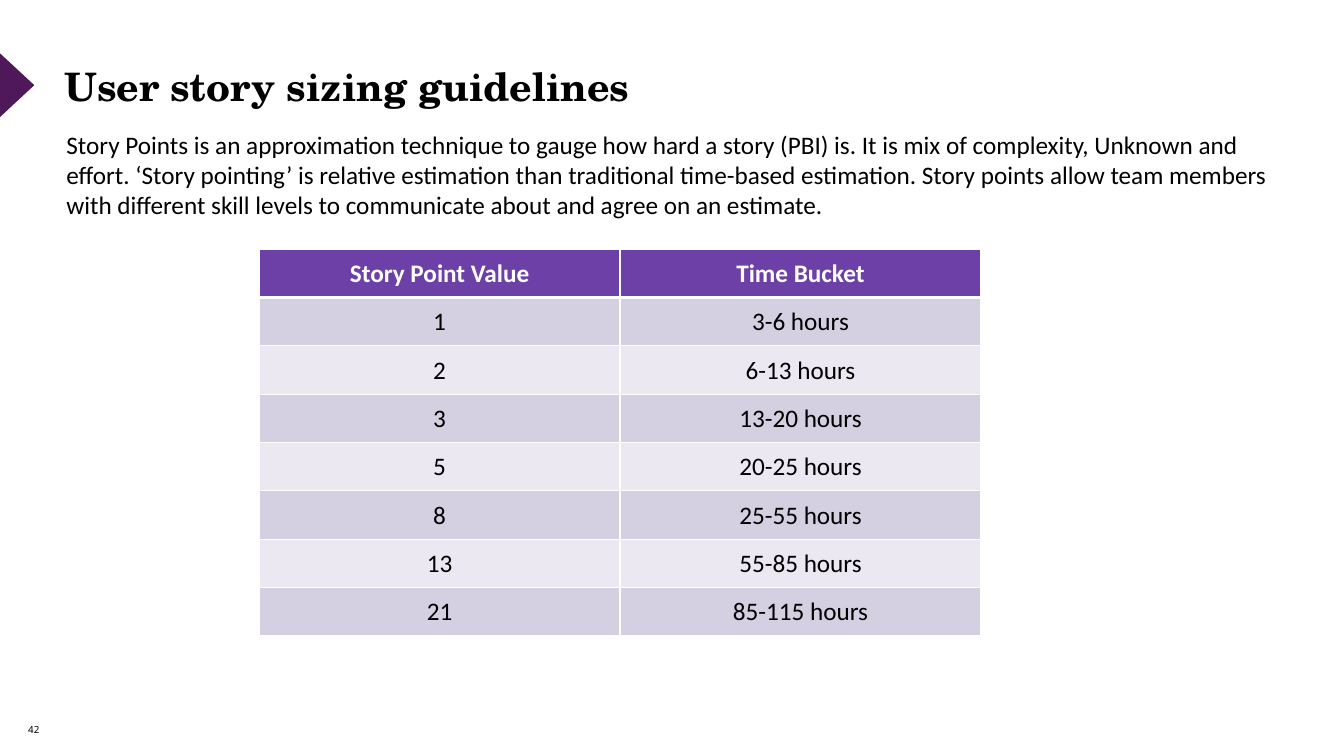
from lxml import etree
from pptx import Presentation
from pptx.dml.color import RGBColor
from pptx.enum import shapes, text
from pptx.oxml import ns
from pptx.util import Inches, Pt

# Content
TITLE = "User story sizing guidelines"
INTRO = (
    "Story Points is an approximation technique to gauge how hard a story (PBI) is. "
    "It is mix of complexity, Unknown and effort. ‘Story pointing’ is relative "
    "estimation than traditional time-based estimation. Story points allow team "
    "members with different skill levels to communicate about and agree on an estimate."
)
PAGE = "42"
ROWS = [
    ("Story Point Value", "Time Bucket"),
    ("1", "3-6 hours"),
    ("2", "6-13 hours"),
    ("3", "13-20 hours"),
    ("5", "20-25 hours"),
    ("8", "25-55 hours"),
    ("13", "55-85 hours"),
    ("21", "85-115 hours"),
]
COLORS = {
    "ink": "000000", "white": "FFFFFF", "arrow": "4F185A",
    "head": "6D40A7", "dark": "D4CFE1", "light": "EBE8F1",
}
BODY = "Calibri"
COL_W, ROW_H = 3.58, 0.48


def rgb(name):
    return RGBColor.from_string(COLORS[name])


def add_run(para, words, size, font, color="ink", bold=False):
    run = para.add_run()
    run.text = words
    run.font.size = Pt(size)
    run.font.name = font
    run.font.bold = bold
    run.font.color.rgb = rgb(color)


def add_text(slide, box, words, size, font, bold=False, inset=(0, 0),
             anchor=text.MSO_ANCHOR.TOP, wrap=True):
    frame = slide.shapes.add_textbox(*map(Inches, box)).text_frame
    frame.word_wrap = wrap
    frame.vertical_anchor = anchor
    frame.margin_left = frame.margin_right = Inches(inset[0])
    frame.margin_top = frame.margin_bottom = Inches(inset[1])
    add_run(frame.paragraphs[0], words, size, font, bold=bold)
    return frame


def add_border(cell, side, width):
    props = cell._tc.get_or_add_tcPr()
    line = etree.SubElement(props, ns.qn("a:ln" + side), w=str(Pt(width)))
    fill = etree.SubElement(line, ns.qn("a:solidFill"))
    etree.SubElement(fill, ns.qn("a:srgbClr"), val=COLORS["white"])


def fill_cell(cell, words, row):
    head = row == 0
    # The rule under the header is thicker than the rest
    widths = {"L": 1, "R": 1, "T": 3 if row == 1 else 1, "B": 3 if head else 1}
    for side, width in widths.items():
        add_border(cell, side, width)
    cell.fill.solid()
    cell.fill.fore_color.rgb = rgb("head" if head else "dark" if row % 2 else "light")
    cell.margin_left = cell.margin_right = cell.margin_top = Inches(0.01)
    cell.margin_bottom = 0
    cell.vertical_anchor = text.MSO_ANCHOR.MIDDLE
    para = cell.text_frame.paragraphs[0]
    para.alignment = text.PP_ALIGN.CENTER
    add_run(para, words, 18, BODY, "white" if head else "ink", head)


def main():
    prs = Presentation()
    prs.slide_width, prs.slide_height = Inches(13.33), Inches(7.5)
    slide = prs.slides.add_slide(prs.slide_layouts[6])

    # Edge arrow
    arrow = slide.shapes.add_shape(
        shapes.MSO_SHAPE.ISOSCELES_TRIANGLE,
        *map(Inches, (-0.16, 0.67, 0.65, 0.35)))
    arrow.rotation = 90
    arrow.shadow.inherit = False
    arrow.fill.solid()
    arrow.fill.fore_color.rgb = rgb("arrow")
    arrow.line.fill.background()

    # Page number, title and intro
    add_text(slide, (0.28, 7.04, 0.45, 0.4), PAGE, 7, "Noto Sans",
             anchor=text.MSO_ANCHOR.MIDDLE)
    title = add_text(slide, (0.64, 0.62, 12.04, 0.8), TITLE, 28,
                     "TeX Gyre Schola", bold=True)
    title.paragraphs[0].space_after = Pt(6)
    add_text(slide, (0.56, 1.23, 12.28, 1.01), INTRO, 18, BODY, inset=(0.1, 0.05))

    # Sizing table
    cols = len(ROWS[0])
    table = slide.shapes.add_table(
        len(ROWS), cols, Inches(2.57), Inches(2.47),
        Inches(COL_W * cols), Inches(ROW_H * len(ROWS))).table
    for col in table.columns:
        col.width = Inches(COL_W)
    for r, row in enumerate(ROWS):
        table.rows[r].height = Inches(ROW_H)
        for c, words in enumerate(row):
            fill_cell(table.cell(r, c), words, r)

    prs.save("out.pptx")


if __name__ == "__main__":
    main()
